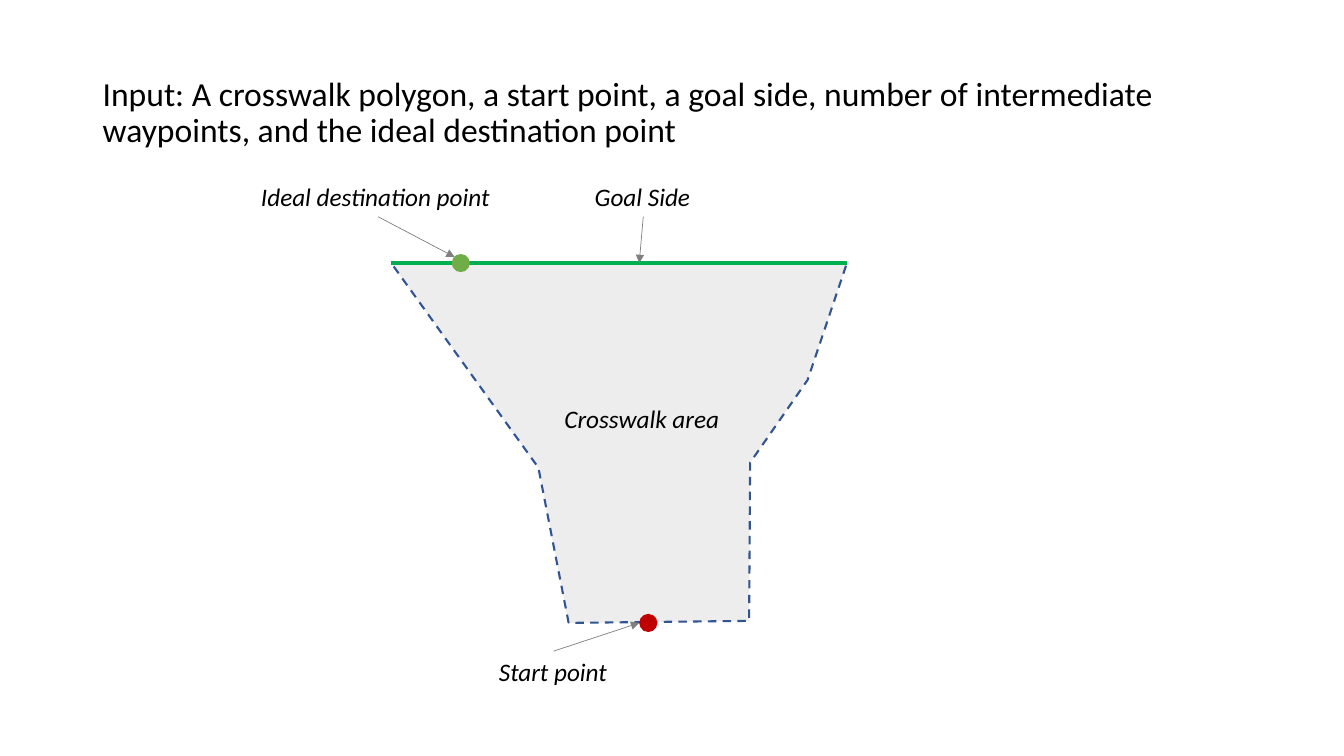
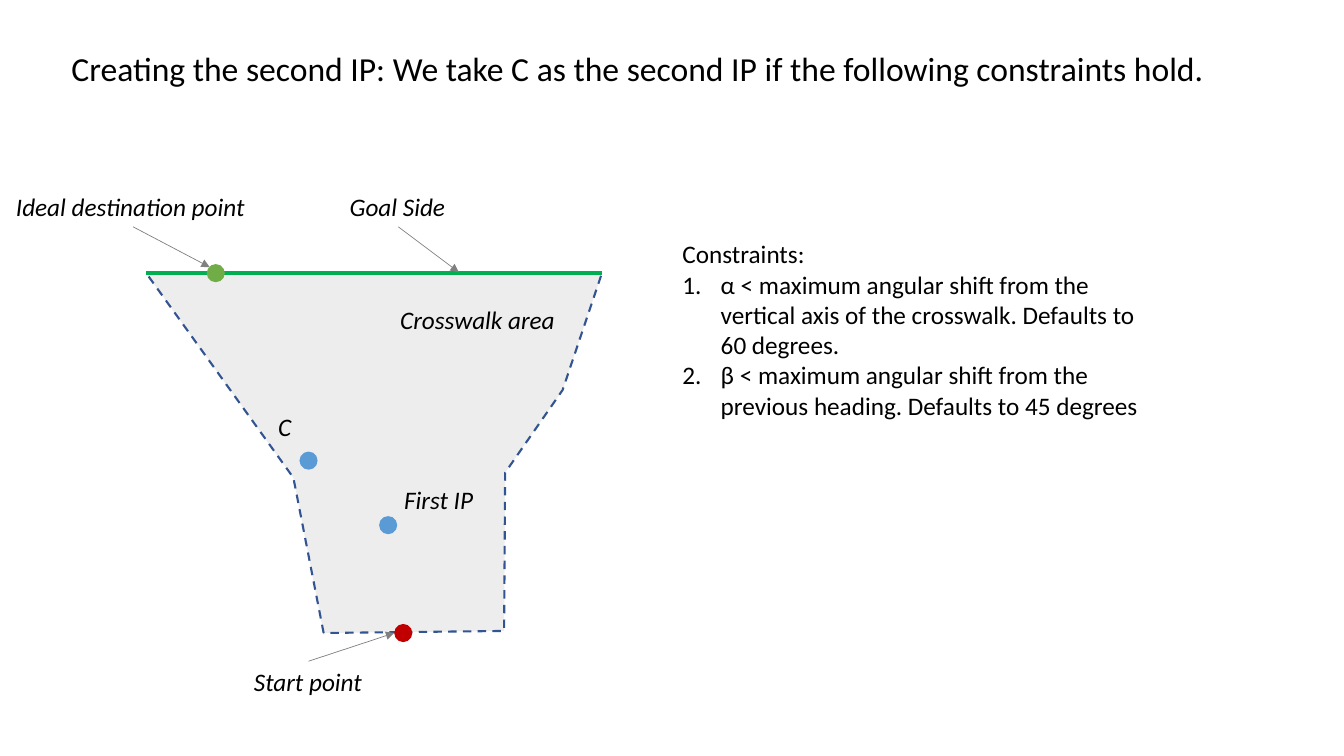
from dataclasses import dataclass

from lxml import etree
from pptx import Presentation
from pptx.dml.color import RGBColor
from pptx.enum.dml import MSO_LINE
from pptx.enum.shapes import MSO_CONNECTOR, MSO_SHAPE
from pptx.enum.text import MSO_ANCHOR, MSO_AUTO_SIZE
from pptx.oxml.ns import qn
from pptx.util import Emu, Pt

PX = 9144
DASH = MSO_LINE.DASH
STRAIGHT = MSO_CONNECTOR.STRAIGHT
OVAL = MSO_SHAPE.OVAL
MIDDLE = MSO_ANCHOR.MIDDLE
GROW = MSO_AUTO_SIZE.SHAPE_TO_FIT_TEXT


@dataclass(frozen=True)
class Theme:
    """Colours, font and type sizes shared by the slides."""
    font: str = "Calibri"
    title_size: int = 24
    text_size: int = 18
    ink: str = "000000"
    area: str = "EDEDED"
    edge: str = "325491"
    goal: str = "00B050"
    arrow: str = "808080"
    start: str = "C00000"
    ideal: str = "70AD47"
    waypoint: str = "5B9BD5"


THEME = Theme()
DOT = 18
LABEL_H = 40
GOAL_W = 452
AREA = [(176, 357), (146, 203), (0, 0), (GOAL_W, 0), (413, 116), (356, 198), (355, 355)]


def px(*values):
    """Turn pixel lengths into EMU."""
    return [Emu(v * PX) for v in values]


def rgb(code):
    """Return the colour for a hex code."""
    return RGBColor.from_string(code)


def style(p, size, italic=False):
    """Format every run of a paragraph."""
    for r in p.runs:
        r.font.name = THEME.font
        r.font.size = Pt(size)
        r.font.italic = italic
        r.font.color.rgb = rgb(THEME.ink)


def add_title(s, box, text):
    """Place the slide title, centred vertically in its box."""
    tf = s.shapes.add_textbox(*px(*box)).text_frame
    tf.word_wrap = True
    tf.vertical_anchor = MIDDLE
    tf.text = text
    p = tf.paragraphs[0]
    p.line_spacing = 0.9
    style(p, THEME.title_size)


def add_label(s, x, y, w, text):
    """Place a one-line italic label."""
    tf = s.shapes.add_textbox(*px(x, y, w, LABEL_H)).text_frame
    tf.word_wrap = False
    tf.auto_size = GROW
    tf.text = text
    style(tf.paragraphs[0], THEME.text_size, italic=True)


def add_dot(s, x, y, color):
    """Place a round point marker."""
    sp = s.shapes.add_shape(OVAL, *px(x, y, DOT, DOT))
    sp.shadow.inherit = False
    sp.fill.solid()
    sp.fill.fore_color.rgb = rgb(color)
    sp.line.fill.background()


def add_line(s, start, end, color, width, arrow=False):
    """Draw a straight line, with an arrowhead at its end if asked."""
    cn = s.shapes.add_connector(STRAIGHT, *px(*start, *end))
    cn.line.color.rgb = rgb(color)
    cn.line.width = Pt(width)
    if arrow:
        etree.SubElement(cn.line._get_or_add_ln(), qn("a:tailEnd"), type="triangle")
    etree.SubElement(cn._element.spPr, qn("a:effectLst"))


def add_area(s, points):
    """Draw the dashed crosswalk outline."""
    fb = s.shapes.build_freeform(*points[0], scale=PX)
    fb.add_line_segments(points[1:], close=True)
    sp = fb.convert_to_shape()
    sp.shadow.inherit = False
    sp.fill.solid()
    sp.fill.fore_color.rgb = rgb(THEME.area)
    sp.line.color.rgb = rgb(THEME.edge)
    sp.line.width = Pt(1.5)
    sp.line.dash_style = DASH


def add_crosswalk(s, x, y, area_label, goal_tip, dots=(), labels=()):
    """Draw the crosswalk diagram from the left end of its goal side."""
    def at(point):
        return x + point[0], y + point[1]

    add_area(s, [at(point) for point in AREA])
    add_line(s, at((0, 0)), at((GOAL_W, 0)), THEME.goal, 3)
    arrows = [((161, 385), (246, 357)), ((250, -46), goal_tip), ((-13, -46), (63, -6))]
    for start, end in arrows:
        add_line(s, at(start), at(end), THEME.arrow, 0.5, arrow=True)
    points = [((246, 348), THEME.start), ((60, -9), THEME.ideal)]
    points += [(point, THEME.waypoint) for point in dots]
    for point, color in points:
        add_dot(s, *at(point), color)
    captions = [
        ((97, 385), 129, "Start point"),
        (area_label, 175, "Crosswalk area"),
        ((192, -86), 116, "Goal Side"),
        ((-139, -86), 252, "Ideal destination point"),
        *labels,
    ]
    for point, w, text in captions:
        add_label(s, *at(point), w, text)


def add_constraints(s, box, heading, items):
    """Place a heading with a numbered list below it."""
    tf = s.shapes.add_textbox(*px(*box)).text_frame
    tf.word_wrap = True
    tf.text = heading
    style(tf.paragraphs[0], THEME.text_size)
    for item in items:
        p = tf.add_paragraph()
        p.text = item
        pPr = p._p.get_or_add_pPr()
        pPr.set("marL", str(38 * PX))
        pPr.set("indent", str(-38 * PX))
        etree.SubElement(pPr, qn("a:buFont"), typeface="+mj-lt")
        etree.SubElement(pPr, qn("a:buAutoNum"), type="arabicPeriod")
        style(p, THEME.text_size)


def input_slide(s):
    """Build the slide that lists the inputs."""
    add_title(s, (92, 40, 1150, 145),
              "Input: A crosswalk polygon, a start point, a goal side, number of "
              "intermediate waypoints, and the ideal destination point")
    add_crosswalk(s, 388, 261, area_label=(162, 134), goal_tip=(246, 0))


def second_ip_slide(s):
    """Build the slide on the second intermediate point."""
    add_title(s, (61, -2, 1150, 145),
              "Creating the second IP: We take C as the second IP if the "
              "following constraints hold.")
    add_crosswalk(s, 145, 271, area_label=(242, 26), goal_tip=(310, -1),
                  dots=[(231, 241), (152, 177)],
                  labels=[((246, 205), 89, "First IP"), ((121, 132), 33, "C")])
    add_constraints(s, (667, 232, 472, 283), "Constraints:", [
        "α < maximum angular shift from the vertical axis of the crosswalk. "
        "Defaults to 60 degrees.",
        "β < maximum angular shift from the previous heading. "
        "Defaults to 45 degrees",
    ])


def main():
    """Build and save the presentation."""
    prs = Presentation()
    prs.slide_width, prs.slide_height = px(1333, 750)
    blank = prs.slide_layouts[6]
    for build in (input_slide, second_ip_slide):
        build(prs.slides.add_slide(blank))
    prs.save("out.pptx")


if __name__ == "__main__":
    main()
